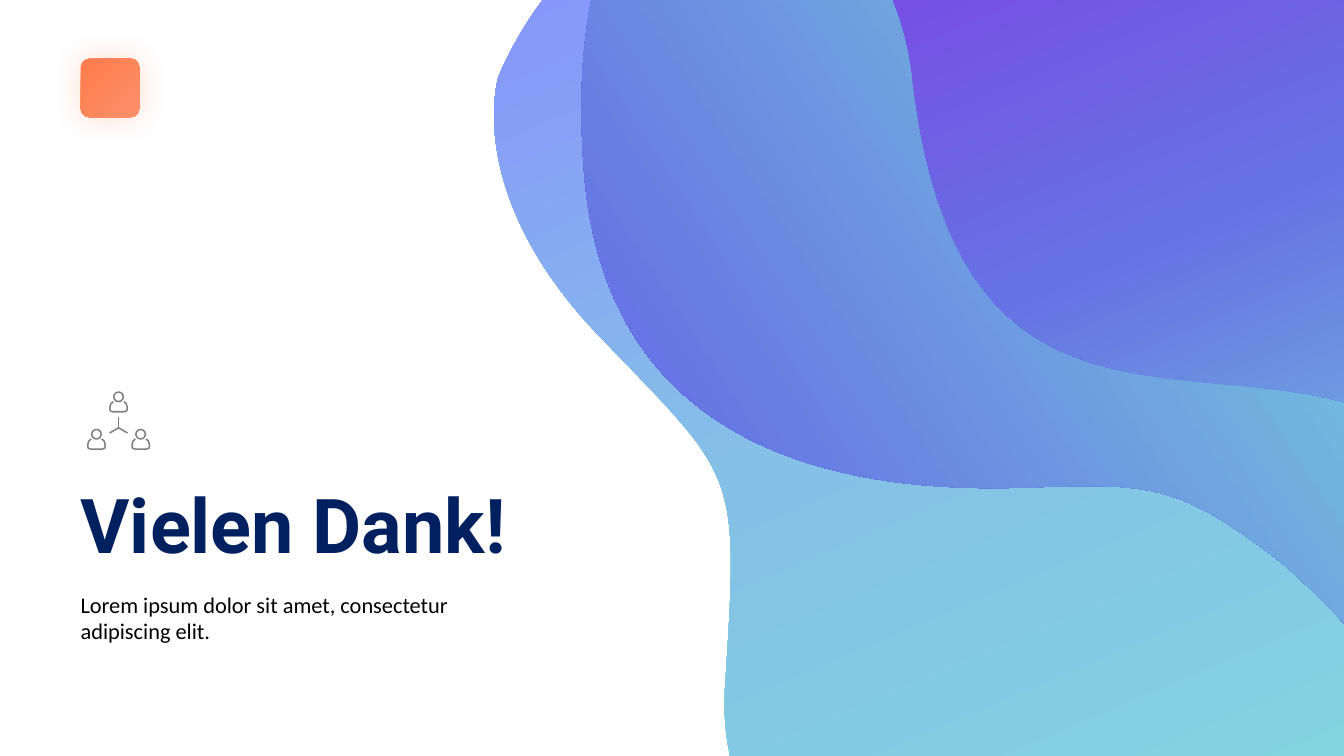
"""Builds a closing thank-you slide with flowing gradient waves."""
from lxml import etree
from pptx import Presentation, util as u
from pptx.dml.color import RGBColor
from pptx.enum import shapes, text
from pptx.oxml import parse_xml
from pptx.oxml.ns import qn

NS = 'xmlns:a="http://schemas.openxmlformats.org/drawingml/2006/main"'
SIZE = (960, 540)
GREY = "808080"
LINE = 1.1

TEXTS = [
    ("Vielen Dank!", (57.6, 341.3, 381.6, 65.5),
     {"size": u.Pt(54), "name": "Roboto", "bold": True}, "002060"),
    ("Lorem ipsum dolor sit amet, consectetur adipiscing elit.",
     (57.6, 421.9, 278.6, 38.9),
     {"size": u.Pt(16), "name": "Calibri", "bold": False}, "000000"),
]

WAVES = [
    ([(0, "80DEDE"), (54, "85C1E7"), (100, "878CFF")], 247, [
        (662, 76),
        (699, 400), (929, 227), (1056, 357),
        (1184, 487), (1138, 584), (1100, 605),
        (1062, 626), (1029, 624), (990, 567),
        (950, 509), (830, 573), (747, 616),
        (665, 660), (508, 643), (518, 489),
        (528, 334), (527, 343), (428, 240),
        (330, 138), (356, 55), (356, 55),
        (356, 55), (409, -83), (531, -71),
        (653, -58), (662, 76), (662, 76)]),
    ([(0, "7CEFD8"), (51, "6672E4"), (100, "882BE5")], 247, [
        (527, -134),
        (527, -134), (400, -114), (417, 120),
        (433, 354), (661, 351), (742, 348),
        (824, 345), (844, 348), (909, 397),
        (973, 446), (1017, 544), (1100, 451),
        (1183, 357), (1027, 258), (1005, 217),
        (984, 176), (1024, 71), (987, 31),
        (951, -9), (926, -58), (755, -43),
        (755, -43), (672, -16), (608, -105),
        (608, -105), (567, -154), (527, -134)]),
    ([(0, "882BE5"), (19, "6672E4"), (100, "7CEFD8")], 327, [
        (417, 120),
        (409, 14), (431, -48), (457, -85),
        (476, -91), (496, -94), (519, -92),
        (641, -80), (651, 55), (651, 55),
        (688, 379), (917, 205), (1045, 336),
        (1079, 370), (1101, 403), (1114, 432),
        (1110, 438), (1106, 444), (1101, 450),
        (1017, 544), (973, 446), (909, 397),
        (844, 348), (824, 345), (742, 348),
        (661, 351), (433, 354), (417, 120)]),
]

HEADS = [(84.7, 283.5), (68.9, 310.2), (100.5, 310.2)]
HEAD = 6.8
BODY = [
    (3.8, 3.3),
    (5.4, 4.2), (6.2, 5.6), (6.2, 7.6),
    (6.2, 10), (6, 10.6), (4, 10.6),
    (1, 10.6), (-1, 10.6), (-4, 10.6),
    (-6, 10.6), (-6.2, 10), (-6.2, 7.6),
    (-6.2, 5.6), (-5.4, 4.2), (-3.8, 3.3)]
HUB = (84.7, 305.6)
SPOKES = [(0, -7.5), (-6.4, 3.7), (6.4, 3.7)]

BADGE = (57.6, 41.8, 42, 42)
BADGE_STOPS = [(0, "FE916A"), (100, "FE7B4C")]
BADGE_MODE = ('<a:path path="circle"><a:fillToRect l="100000" t="100000"/>'
              '</a:path>')
GLOW = (f'<a:effectLst {NS}><a:outerShdw blurRad="{u.Pt(20)}" dist="0" '
        'algn="ctr"><a:srgbClr val="FE7B4C"><a:alpha val="25000"/>'
        '</a:srgbClr></a:outerShdw></a:effectLst>')


def hue(code):
    """Turns a hex string into a colour."""
    return RGBColor.from_string(code)


def box(vals):
    """Turns point values into lengths."""
    return [u.Pt(v) for v in vals]


def free(tree, pts, close):
    """Draws an outline whose points after the first form cubic curves."""
    dots = [box(p) for p in pts]
    pen = tree.build_freeform(*dots[0])
    pen.add_line_segments(dots[1:], close=close)
    shape = pen.convert_to_shape()
    shape.shadow.inherit = False
    track = next(shape._element.iter(qn("a:path")))
    lines = track.findall(qn("a:lnTo"))
    for i in range(0, len(lines), 3):
        curve = etree.Element(qn("a:cubicBezTo"))
        lines[i].addprevious(curve)
        for line in lines[i:i + 3]:
            curve.append(line[0])
            track.remove(line)
    return shape


def blend(shape, stops, mode):
    """Gives a shape a gradient fill and no line."""
    shape.line.fill.background()
    shape.fill.background()
    marks = "".join(f'<a:gs pos="{p * 1000}"><a:srgbClr val="{c}"/></a:gs>'
                    for p, c in stops)
    grad = parse_xml(f'<a:gradFill {NS} rotWithShape="1"><a:gsLst>{marks}'
                     f'</a:gsLst>{mode}</a:gradFill>')
    props = shape._element.spPr
    props.replace(props.find(qn("a:noFill")), grad)


def ink(shape):
    """Gives a shape or connector the thin grey line."""
    shape.line.color.rgb = hue(GREY)
    shape.line.width = u.Pt(LINE)


def write(tree, words, place, form, code):
    """Adds a text box."""
    frame = tree.add_textbox(*box(place)).text_frame
    rules = {"word_wrap": True, "auto_size": text.MSO_AUTO_SIZE.NONE}
    for side in ("left", "right", "top", "bottom"):
        rules[f"margin_{side}"] = u.Pt(0)
    for key, val in rules.items():
        setattr(frame, key, val)
    run = frame.paragraphs[0].add_run()
    run.text = words
    for key, val in form.items():
        setattr(run.font, key, val)
    run.font.color.rgb = hue(code)


def team(tree):
    """Draws three linked people."""
    for x, y in HEADS:
        half = HEAD / 2
        head = tree.add_shape(shapes.MSO_SHAPE.OVAL,
                              *box((x - half, y - half, HEAD, HEAD)))
        head.shadow.inherit = False
        body = free(tree, [(x + p, y + q) for p, q in BODY], False)
        for part in (head, body):
            part.fill.background()
            ink(part)
    x, y = HUB
    for p, q in SPOKES:
        arm = tree.add_connector(shapes.MSO_CONNECTOR.STRAIGHT,
                                 *box((x, y, x + p, y + q)))
        ink(arm)
        etree.SubElement(arm._element.spPr, qn("a:effectLst"))


def badge(tree):
    """Draws the glowing rounded square."""
    tile = tree.add_shape(shapes.MSO_SHAPE.ROUNDED_RECTANGLE, *box(BADGE))
    tile.adjustments[0] = 0.15
    tile.shadow.inherit = False
    blend(tile, BADGE_STOPS, BADGE_MODE)
    props = tile._element.spPr
    props.replace(props.find(qn("a:effectLst")), parse_xml(GLOW))


def main():
    """Builds and saves the slide."""
    deck = Presentation()
    deck.slide_width, deck.slide_height = box(SIZE)
    tree = deck.slides.add_slide(deck.slide_layouts[6]).shapes
    for item in TEXTS:
        write(tree, *item)
    team(tree)
    for stops, turn, pts in WAVES:
        blend(free(tree, pts, True), stops,
              f'<a:lin ang="{turn * 60000}" scaled="0"/>')
    badge(tree)
    deck.save("out.pptx")


if __name__ == "__main__":
    main()
